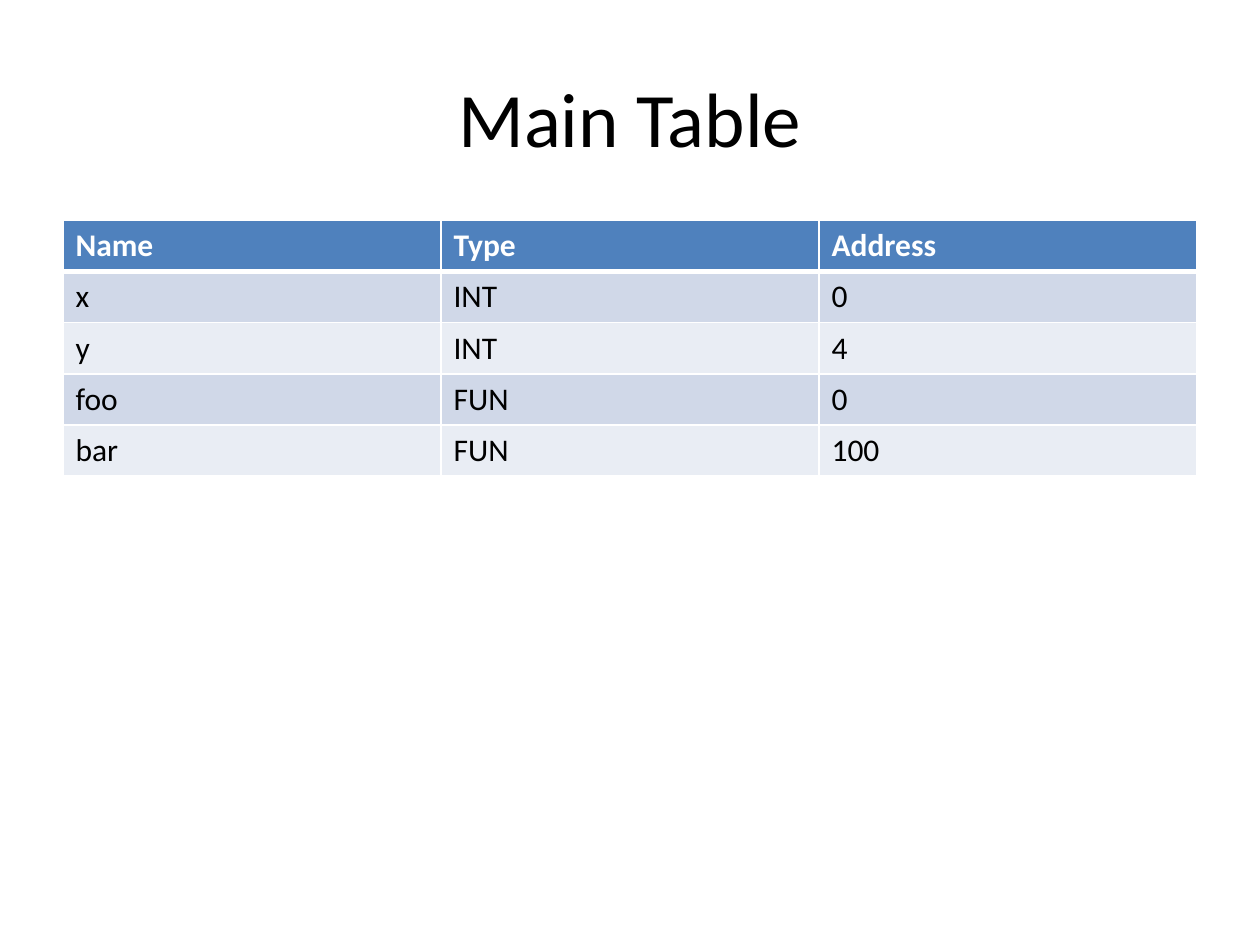
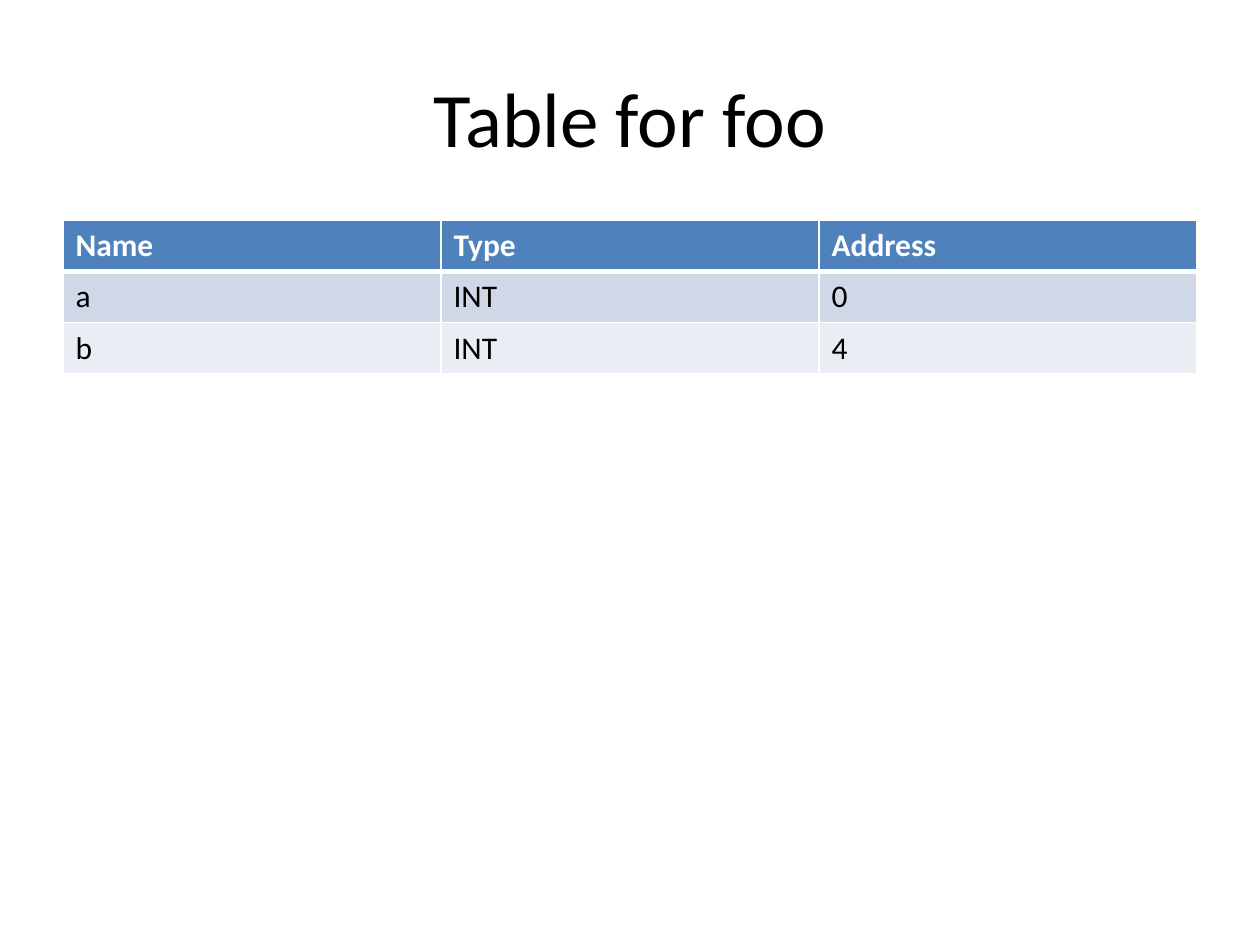
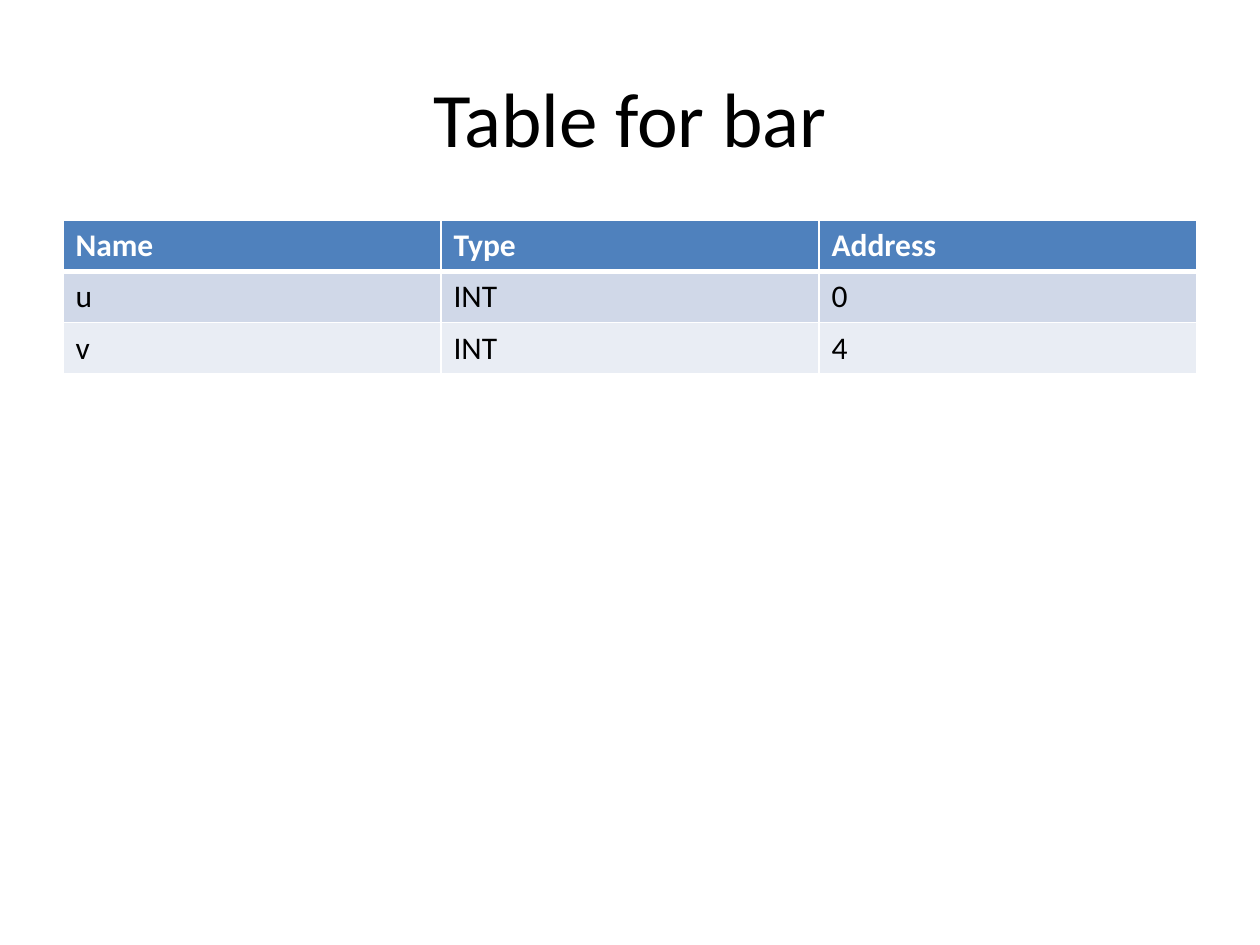
from dataclasses import dataclass

from lxml import etree
from pptx import Presentation
from pptx import util as u
from pptx.dml.color import RGBColor
from pptx.enum import text
from pptx.oxml.ns import qn

COLORS = {
    "title": "000000",
    "header": "4F81BD",
    "header_text": "FFFFFF",
    "odd_row": "D0D8E8",
    "even_row": "E9EDF4",
    "body_text": "000000",
    "border": "FFFFFF",
}
FONT = "Calibri"
BLANK_LAYOUT = 6
MARGIN = 36
CONTENT_WIDTH = 648
TITLE_TOP, TITLE_HEIGHT = 21.6, 90
TABLE_TOP, ROW_HEIGHT = 126, 29.2
THIN, THICK = 1, 3
HEADINGS = ("Name", "Type", "Address")


@dataclass(frozen=True)
class SymbolTable:
    title: str
    symbols: tuple[tuple[str, str, str], ...]


SYMBOL_TABLES = (
    SymbolTable("Main Table", (("x", "INT", "0"), ("y", "INT", "4"),
                               ("foo", "FUN", "0"), ("bar", "FUN", "100"))),
    SymbolTable("Table for foo", (("a", "INT", "0"), ("b", "INT", "4"))),
    SymbolTable("Table for bar", (("u", "INT", "0"), ("v", "INT", "4"))),
)


def add_span(para, words: str, size: float, color: str, bold: bool = False) -> None:
    span = para.add_run()
    span.text = words
    span.font.name = FONT
    span.font.size = u.Pt(size)
    span.font.bold = bold
    span.font.color.rgb = RGBColor.from_string(COLORS[color])


def add_title(page, words: str) -> None:
    box = page.shapes.add_textbox(u.Pt(MARGIN), u.Pt(TITLE_TOP),
                                  u.Pt(CONTENT_WIDTH), u.Pt(TITLE_HEIGHT))
    frame = box.text_frame
    frame.word_wrap = True
    frame.vertical_anchor = text.MSO_ANCHOR.MIDDLE
    para = frame.paragraphs[0]
    para.alignment = text.PP_ALIGN.CENTER
    add_span(para, words, 44, "title")


def set_borders(cell, top: float, bottom: float) -> None:
    """Draw the four cell borders; call before filling the cell."""
    properties = cell._tc.get_or_add_tcPr()
    for side, width in (("L", THIN), ("R", THIN), ("T", top), ("B", bottom)):
        line = etree.SubElement(properties, qn(f"a:ln{side}"), w=str(u.Pt(width)))
        fill = etree.SubElement(line, qn("a:solidFill"))
        etree.SubElement(fill, qn("a:srgbClr"), val=COLORS["border"])


def add_symbol_table(page, symbols: tuple[tuple[str, str, str], ...]) -> None:
    rows = (HEADINGS, *symbols)
    table = page.shapes.add_table(
        len(rows), len(HEADINGS), u.Pt(MARGIN), u.Pt(TABLE_TOP),
        u.Pt(CONTENT_WIDTH), u.Pt(ROW_HEIGHT * len(rows))).table
    for column in table.columns:
        column.width = u.Pt(CONTENT_WIDTH / len(HEADINGS))
    for index, values in enumerate(rows):
        table.rows[index].height = u.Pt(ROW_HEIGHT)
        is_header = index == 0
        fill = "header" if is_header else "odd_row" if index % 2 else "even_row"
        color = "header_text" if is_header else "body_text"
        for cell, value in zip(table.rows[index].cells, values):
            set_borders(cell, top=THICK if index == 1 else THIN,
                        bottom=THICK if is_header else THIN)
            cell.fill.solid()
            cell.fill.fore_color.rgb = RGBColor.from_string(COLORS[fill])
            add_span(cell.text_frame.paragraphs[0], value, 18, color, is_header)


def main() -> None:
    deck = Presentation()
    deck.slide_width, deck.slide_height = u.Pt(720), u.Pt(540)
    for symbol_table in SYMBOL_TABLES:
        page = deck.slides.add_slide(deck.slide_layouts[BLANK_LAYOUT])
        add_title(page, symbol_table.title)
        add_symbol_table(page, symbol_table.symbols)
    deck.save("out.pptx")


if __name__ == "__main__":
    main()
